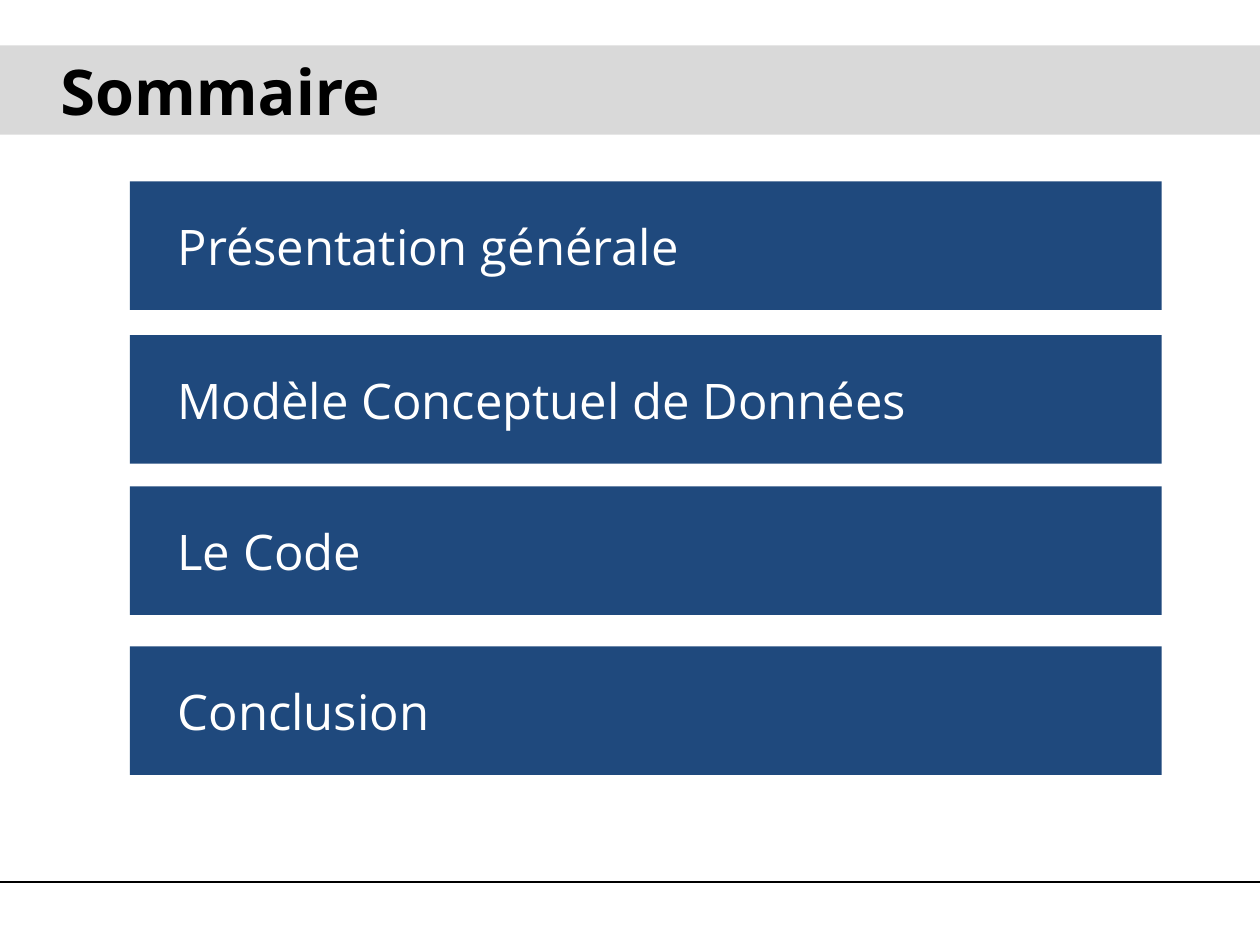
"""Build the summary slide: title band, four agenda bars and a curved footer line."""
import pptx
import pptx.util
import pptx.dml.color
import pptx.enum.shapes
import pptx.enum.text
import pptx.oxml
import pptx.oxml.ns

COLOURS = {"band": "D9D9D9", "bar": "1F497D", "dark": "000000", "light": "FFFFFF"}
FONT = "Open Sans"
Inches = pptx.util.Inches


def colour(name):
    return pptx.dml.color.RGBColor.from_string(COLOURS[name])


def fill_band(box, text, fill, ink, size, indent, bold):
    box.fill.solid()
    box.fill.fore_color.rgb = colour(fill)
    box.line.fill.background()
    frame = box.text_frame
    frame.text = text
    frame.word_wrap = True
    frame.auto_size = pptx.enum.text.MSO_AUTO_SIZE.NONE
    frame.vertical_anchor = pptx.enum.text.MSO_ANCHOR.MIDDLE
    frame.margin_left = Inches(indent)
    para = frame.paragraphs[0]
    para.alignment = pptx.enum.text.PP_ALIGN.LEFT
    font = para.runs[0].font
    font.name, font.size, font.bold = FONT, pptx.util.Pt(size), bold
    font.color.rgb = colour(ink)


deck = pptx.Presentation()
deck.slide_width, deck.slide_height = Inches(10), Inches(7.5)
page = deck.slides.add_slide(deck.slide_layouts[5])

title = page.shapes.title
title.left, title.top = 0, Inches(0.36)
title.width, title.height = deck.slide_width, Inches(0.71)
fill_band(title, "Sommaire", "band", "dark", 36, 0.48, True)

agenda = [
    ("Présentation générale", 1.44),
    ("Modèle Conceptuel de Données", 2.66),
    ("Le Code", 3.86),
    ("Conclusion", 5.13),
]
for text, top in agenda:
    bar = page.shapes.add_shape(
        pptx.enum.shapes.MSO_SHAPE.RECTANGLE,
        Inches(1.03), Inches(top), Inches(8.19), Inches(1.02))
    bar.shadow.inherit = False
    fill_band(bar, text, "bar", "light", 28, 0.38, False)

start = (-0.02, 7.47)
curves = [
    ((0.41, 7.5), (0.84, 7.52), (1.16, 7.46)),
    ((1.47, 7.4), (1.69, 7.21), (1.88, 7.1)),
    ((2.08, 7), (2.18, 6.89), (2.34, 6.84)),
    ((2.49, 6.79), (2.84, 6.8), (2.84, 6.8)),
]
steps = 16
points = []
corner = start
for curve in curves:
    controls = (corner, *curve)
    for step in range(1, steps + 1):
        t = step / steps
        weights = ((1 - t) ** 3, 3 * t * (1 - t) ** 2, 3 * t ** 2 * (1 - t), t ** 3)
        points.append(tuple(
            sum(weight * control[axis] for weight, control in zip(weights, controls))
            for axis in (0, 1)))
    corner = curve[-1]
points.append((10, 6.8))

builder = page.shapes.build_freeform(*start, scale=Inches(1))
builder.add_line_segments(points, close=False)
footer = builder.convert_to_shape()
footer.fill.background()
footer.line.color.rgb = colour("dark")
footer.line.width = pptx.util.Pt(0.75)
footer.element.spPr.append(pptx.oxml.parse_xml(
    f'<a:effectLst {pptx.oxml.ns.nsdecls("a")}>'
    '<a:outerShdw blurRad="50800" dist="38100" dir="2700000" algn="tl" rotWithShape="0">'
    f'<a:srgbClr val="{COLOURS["dark"]}"><a:alpha val="40000"/></a:srgbClr>'
    '</a:outerShdw></a:effectLst>'))

deck.save("out.pptx")
